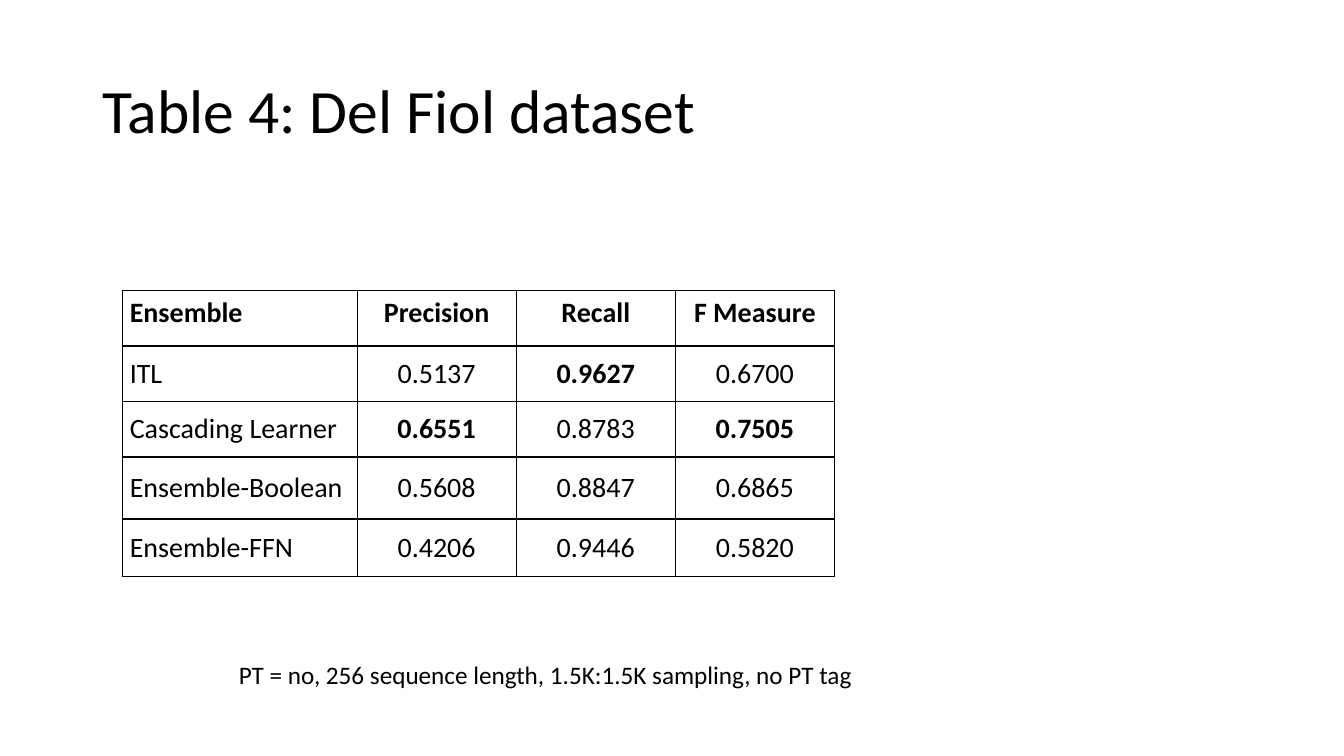
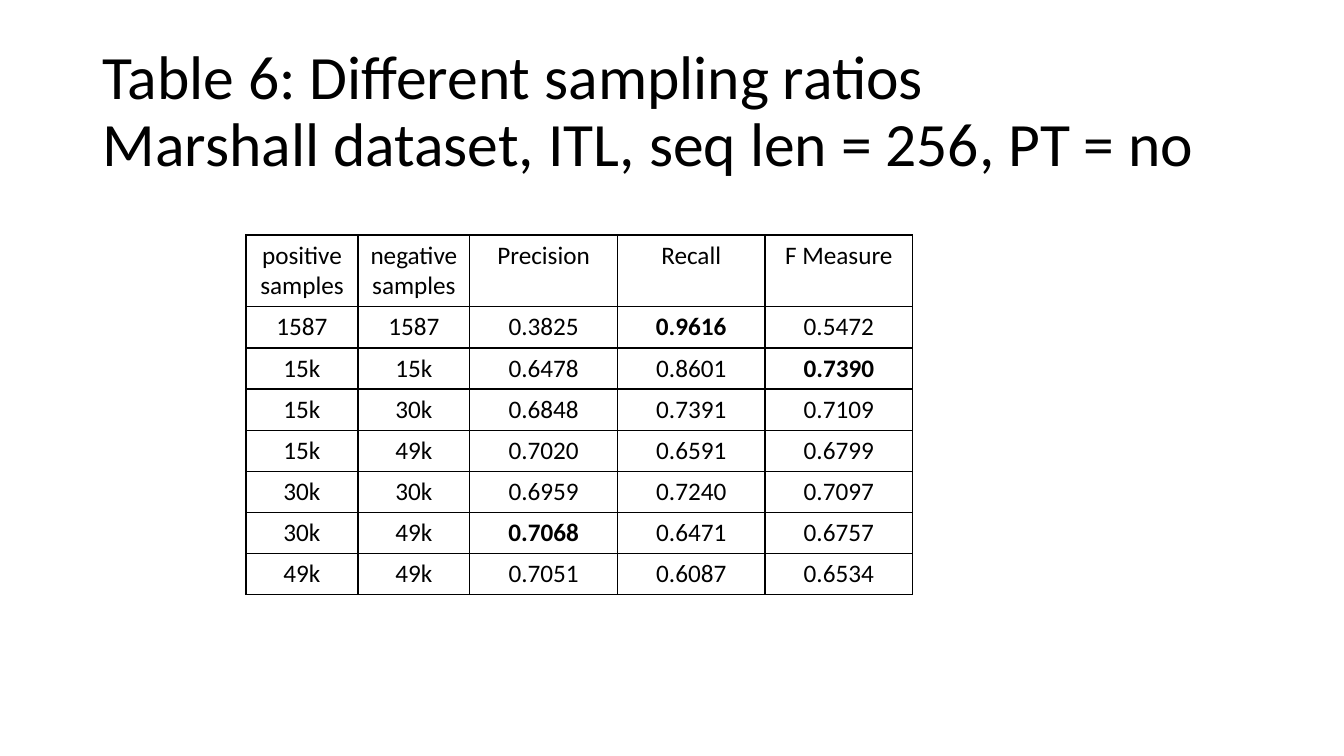
from lxml import etree
from pptx import Presentation
from pptx.dml.color import RGBColor
from pptx.enum.text import MSO_ANCHOR, MSO_AUTO_SIZE, PP_ALIGN
from pptx.oxml.ns import qn
from pptx.util import Cm, Pt

LEFT, CENTER = PP_ALIGN.LEFT, PP_ALIGN.CENTER
TOP, MIDDLE = MSO_ANCHOR.TOP, MSO_ANCHOR.MIDDLE
NO_FIT = MSO_AUTO_SIZE.NONE

FONT = "Calibri"
INK = "000000"
BORDER_PT = 1
METRICS = 3
TITLE_BOX = (2.33, 1.01, 29.21, 3.68)
TITLE_FRAME = {"auto_size": NO_FIT, "vertical_anchor": MIDDLE, "word_wrap": True}
TITLE_PARA = {"alignment": LEFT, "line_spacing": 0.9}
CELL_MARGINS = {"margin_left": Cm(0.19), "margin_right": Cm(0.19),
                "margin_top": Cm(0.13), "margin_bottom": Cm(0.13)}

ENSEMBLES = [
    ("Ensemble", "Precision", "Recall", "F Measure"),
    ("ITL", "0.5137", "0.9627", "0.6700"),
    ("Cascading Learner", "0.6551", "0.8783", "0.7505"),
    ("Ensemble-Boolean", "0.5608", "0.8847", "0.6865"),
    ("Ensemble-FFN", "0.4206", "0.9446", "0.5820"),
]
RATIOS = [
    ("positive samples", "negative samples", "Precision", "Recall", "F Measure"),
    ("1587", "1587", "0.3825", "0.9616", "0.5472"),
    ("15k", "15k", "0.6478", "0.8601", "0.7390"),
    ("15k", "30k", "0.6848", "0.7391", "0.7109"),
    ("15k", "49k", "0.7020", "0.6591", "0.6799"),
    ("30k", "30k", "0.6959", "0.7240", "0.7097"),
    ("30k", "49k", "0.7068", "0.6471", "0.6757"),
    ("49k", "49k", "0.7051", "0.6087", "0.6534"),
]


def color(value):
    return RGBColor.from_string(value)


def apply(obj, values):
    for name, value in values.items():
        setattr(obj, name, value)


def write(tf, text, size, bold=False, para=None):
    tf.text = text
    for p in tf.paragraphs:
        apply(p, para or {})
        for r in p.runs:
            apply(r.font, {"name": FONT, "size": Pt(size), "bold": bold})
            r.font.color.rgb = color(INK)


def add_borders(cell):
    tcPr = cell._tc.get_or_add_tcPr()
    for i, side in enumerate(("lnL", "lnR", "lnT", "lnB")):
        ln = etree.Element(qn(f"a:{side}"), w=str(Pt(BORDER_PT)))
        fill = etree.SubElement(ln, qn("a:solidFill"))
        etree.SubElement(fill, qn("a:srgbClr"), val=INK)
        tcPr.insert(i, ln)


def add_title_slide(prs, title):
    s = prs.slides.add_slide(prs.slide_layouts[5])
    sp = s.shapes.title
    sp.left, sp.top, sp.width, sp.height = map(Cm, TITLE_BOX)
    write(sp.text_frame, title, 44, para=TITLE_PARA)
    apply(sp.text_frame, TITLE_FRAME)
    return s


def add_results(s, left, top, widths, heights, rows, size,
                body_anchor=TOP, header_bold=False, first_align=CENTER):
    frame = s.shapes.add_table(len(rows), len(widths), Cm(left), Cm(top),
                               Cm(sum(widths)), Cm(sum(heights)))
    table = frame.table
    apply(table, {"first_row": False, "horz_banding": False})
    for col, width in zip(table.columns, widths):
        col.width = Cm(width)
    for row, height in zip(table.rows, heights):
        row.height = Cm(height)
    best = [max(column) for column in zip(*rows[1:])]
    first_metric = len(widths) - METRICS
    for i, row in enumerate(rows):
        for j, text in enumerate(row):
            cell = table.cell(i, j)
            is_best = j >= first_metric and text == best[j]
            bold = is_best if i else header_bold
            write(cell.text_frame, text, size, bold,
                  {"alignment": CENTER if j else first_align})
            apply(cell, CELL_MARGINS)
            cell.vertical_anchor = body_anchor if i else TOP
            cell.fill.background()
            add_borders(cell)


def add_note(s, left, top, width, height, text):
    sp = s.shapes.add_textbox(Cm(left), Cm(top), Cm(width), Cm(height))
    sp.text_frame.word_wrap = False
    write(sp.text_frame, text, 18)


def main():
    prs = Presentation()
    prs.slide_width, prs.slide_height = Cm(33.87), Cm(19.05)

    s = add_title_slide(prs, "Table 4: Del Fiol dataset")
    add_note(s, 5.77, 16.48, 16.15, 1.02,
             "PT = no, 256 sequence length, 1.5K:1.5K sampling, no PT tag")
    add_results(s, 3.08, 7.32, [5.92] + [4.01] * METRICS,
                [1.4] * 3 + [1.56, 1.46], ENSEMBLES, 20,
                body_anchor=MIDDLE, header_bold=True, first_align=LEFT)

    s = add_title_slide(prs, "Table 6: Different sampling ratios\v"
                             "Marshall dataset, ITL, seq len = 256, PT = no")
    add_results(s, 6.2, 5.92, [2.82] * 2 + [3.72] * METRICS,
                [1.8] + [1.03] * (len(RATIOS) - 1), RATIOS, 18)

    prs.save("out.pptx")


if __name__ == "__main__":
    main()
